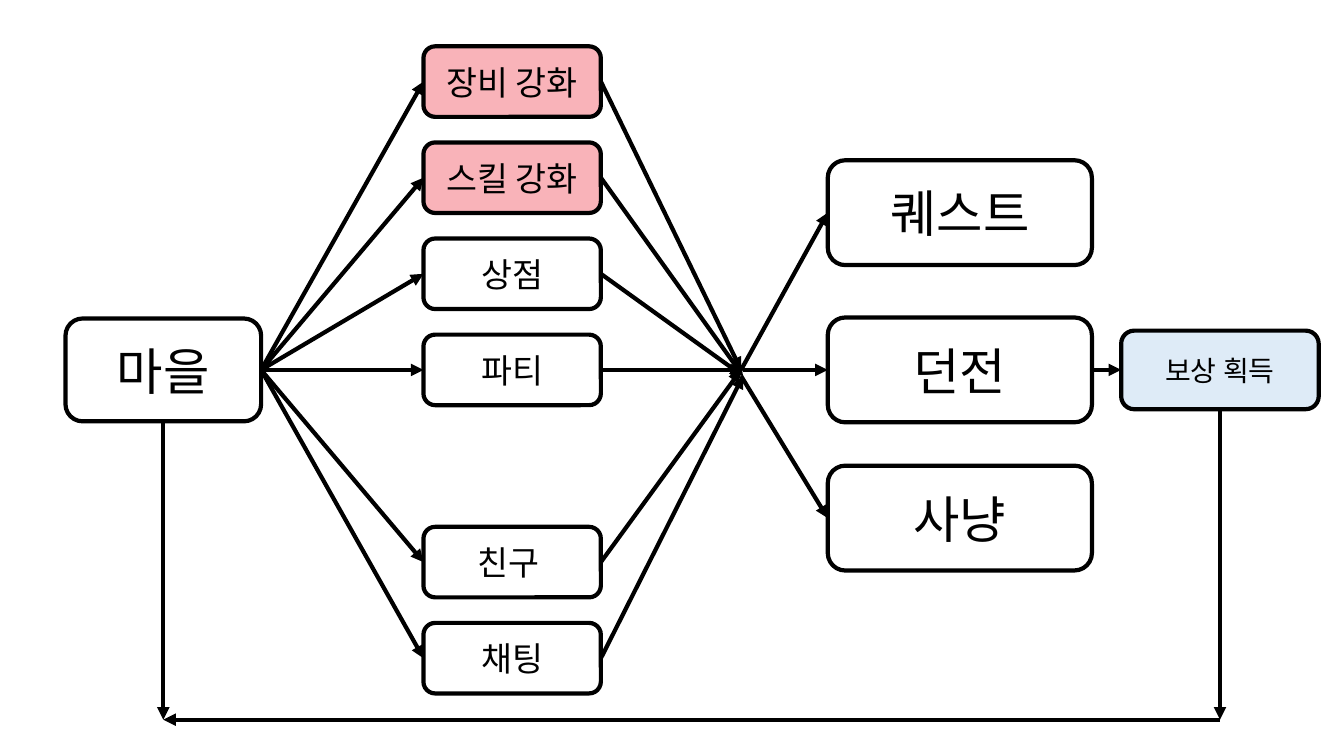
from dataclasses import dataclass
from typing import Optional

from lxml.etree import SubElement
from pptx import Presentation
from pptx.dml.color import RGBColor
from pptx.enum.shapes import MSO_CONNECTOR, MSO_SHAPE
from pptx.enum.text import MSO_ANCHOR, PP_ALIGN
from pptx.oxml.ns import qn
from pptx.slide import Slide
from pptx.util import Inches, Pt

FONT = "Noto Sans CJK KR"
BLACK = "000000"
PINK = "F9B3B9"
PALE_BLUE = "DEEBF7"
LINE_WIDTH = 3

Point = tuple[float, float]


@dataclass(frozen=True)
class Box:
    text: str
    left: float
    top: float
    width: float
    height: float
    size: int
    fill: Optional[str] = None

    @property
    def start(self) -> Point:
        return self.left, self.top + self.height / 2

    @property
    def end(self) -> Point:
        return self.left + self.width, self.top + self.height / 2

    @property
    def bottom(self) -> Point:
        return self.left + self.width / 2, self.top + self.height


@dataclass(frozen=True)
class Service:
    text: str
    row: int
    target: Point
    fill: Optional[str] = None

    @property
    def box(self) -> Box:
        return Box(self.text, 4.2, 0.46 + self.row * SERVICE_STEP, 1.76, 0.7, 24, self.fill)


@dataclass(frozen=True)
class Activity:
    text: str
    top: float
    source: Point

    @property
    def box(self) -> Box:
        return Box(self.text, 8.21, self.top, 2.62, 1.04, 36)


SERVICE_STEP = 2.86 / 3
MID_Y = 3.67
RETURN_Y = 7.14
HUB = (7.35, MID_Y)
HUB_RIGHT = (7.37, MID_Y)
HUB_LOW = (7.37, 3.73)

TOWN = Box("마을", 0.65, 3.16, 1.94, 1.02, 36)
REWARD = Box("보상 획득", 11.12, 3.28, 1.96, 0.78, 20, PALE_BLUE)
SERVICES = [
    Service("장비 강화", 0, HUB, PINK),
    Service("스킬 강화", 1, HUB_LOW, PINK),
    Service("상점", 2, HUB_LOW),
    Service("파티", 3, HUB_RIGHT),
    Service("친구 ", 5, HUB),
    Service("채팅", 6, HUB_LOW),
]
QUEST = Activity("퀘스트", 1.59, HUB)
DUNGEON = Activity("던전", 3.15, HUB_RIGHT)
HUNT = Activity("사냥", 4.62, (7.35, 3.73))
ACTIVITIES = [QUEST, DUNGEON, HUNT]


def color(value: str) -> RGBColor:
    return RGBColor.from_string(value)


def add_box(s: Slide, box: Box) -> None:
    sp = s.shapes.add_shape(
        MSO_SHAPE.ROUNDED_RECTANGLE,
        Inches(box.left), Inches(box.top), Inches(box.width), Inches(box.height),
    )
    sp.shadow.inherit = False
    if box.fill:
        sp.fill.solid()
        sp.fill.fore_color.rgb = color(box.fill)
    else:
        sp.fill.background()
    sp.line.color.rgb = color(BLACK)
    sp.line.width = Pt(LINE_WIDTH)
    tf = sp.text_frame
    tf.text = box.text
    tf.vertical_anchor = MSO_ANCHOR.MIDDLE
    p = tf.paragraphs[0]
    p.alignment = PP_ALIGN.CENTER
    r = p.runs[0]
    r.font.size = Pt(box.size)
    r.font.name = FONT
    r.font.color.rgb = color(BLACK)
    SubElement(r.font._element, qn("a:ea"), typeface=FONT)


def add_arrow(s: Slide, start: Point, end: Point) -> None:
    x1, y1, x2, y2 = (Inches(v) for v in (*start, *end))
    c = s.shapes.add_connector(MSO_CONNECTOR.STRAIGHT, x1, y1, x2, y2)
    c.line.color.rgb = color(BLACK)
    c.line.width = Pt(LINE_WIDTH)
    SubElement(c.line._get_or_add_ln(), qn("a:tailEnd"), type="triangle")
    SubElement(c._element.spPr, qn("a:effectLst"))


def main() -> None:
    prs = Presentation()
    prs.slide_width = Inches(13.33)
    prs.slide_height = Inches(7.5)
    s = prs.slides.add_slide(prs.slide_layouts[6])

    nodes = [item.box for item in (*SERVICES, *ACTIVITIES)]
    for box in (TOWN, *nodes, REWARD):
        add_box(s, box)

    for service in SERVICES:
        add_arrow(s, TOWN.end, service.box.start)
        add_arrow(s, service.box.end, service.target)
    for activity in ACTIVITIES:
        add_arrow(s, activity.source, activity.box.start)
    add_arrow(s, DUNGEON.box.end, REWARD.start)

    reward_corner = (REWARD.bottom[0], RETURN_Y)
    town_corner = (TOWN.bottom[0], RETURN_Y)
    add_arrow(s, REWARD.bottom, reward_corner)
    add_arrow(s, reward_corner, town_corner)
    add_arrow(s, TOWN.bottom, town_corner)

    prs.save("out.pptx")


if __name__ == "__main__":
    main()
